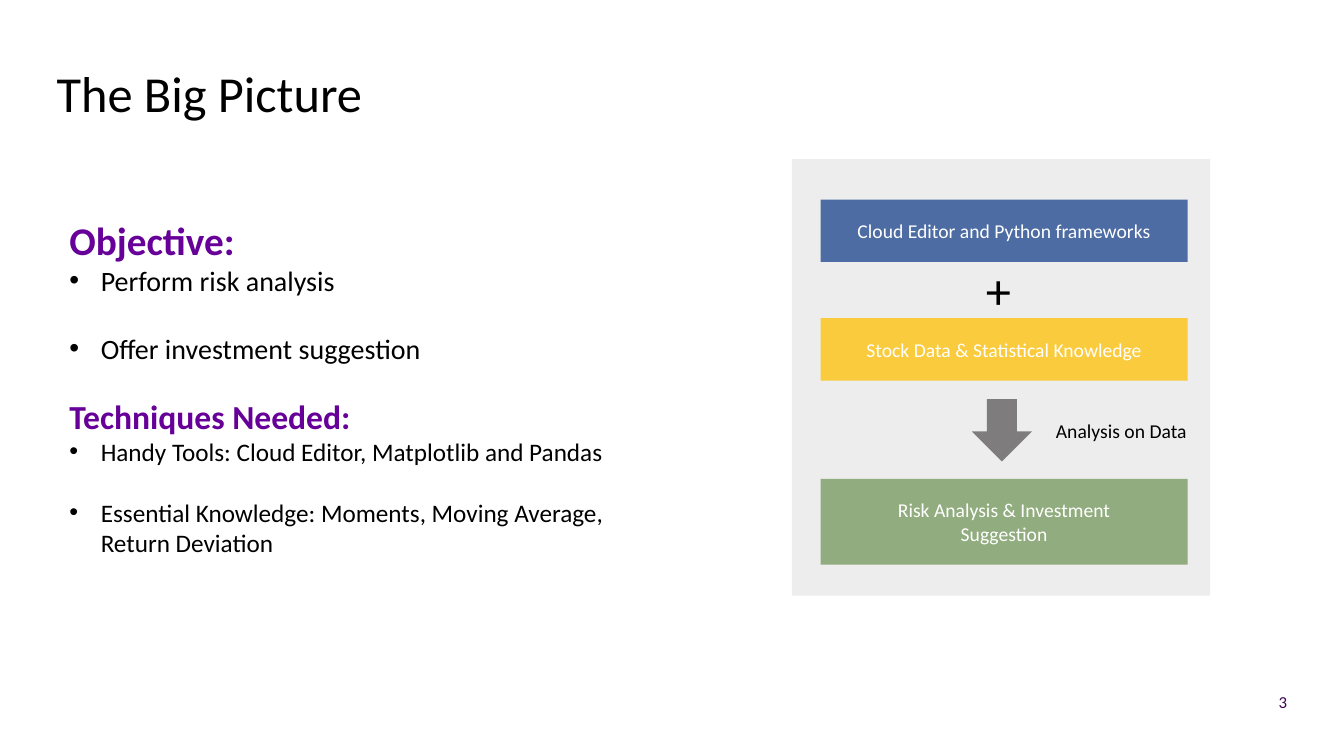
from dataclasses import dataclass

from lxml.etree import SubElement
from pptx import Presentation
from pptx.dml.color import RGBColor
from pptx.enum.shapes import MSO_SHAPE
from pptx.enum.text import MSO_ANCHOR, MSO_AUTO_SIZE, PP_ALIGN
from pptx.oxml.ns import qn
from pptx.util import Cm, Pt


@dataclass(frozen=True)
class Theme:
    font: str = "Calibri"
    black: str = "000000"
    white: str = "FFFFFF"
    purple: str = "660099"
    plum: str = "3B054F"
    panel: str = "D8D8D8"
    blue: str = "2F5496"
    gold: str = "FFC000"
    green: str = "548135"
    gray: str = "3A3838"
    title: int = 36
    head: int = 28
    subhead: int = 24
    goal: int = 20
    skill: int = 18
    label: int = 14
    number: int = 12


THEME = Theme()


def add_run(para, text, size, color, bold=False):
    run = para.add_run()
    run.text = text
    font = run.font
    font.name, font.size, font.bold = THEME.font, Pt(size), bold
    font.color.rgb = RGBColor.from_string(color)


def add_label(shapes, box, text, size, color, align=PP_ALIGN.CENTER):
    frame = shapes.add_textbox(*map(Cm, box)).text_frame
    frame.word_wrap = True
    frame.vertical_anchor = MSO_ANCHOR.MIDDLE
    para = frame.paragraphs[0]
    para.alignment = align
    add_run(para, text, size, color)


def add_block(shapes, kind, box, color, alpha, text="", inset=0.25):
    """Add a translucent shape; alpha is its opacity in percent."""
    shape = shapes.add_shape(kind, *map(Cm, box))
    shape.shadow.inherit = False
    shape.line.fill.background()
    shape.fill.solid()
    shape.fill.fore_color.rgb = RGBColor.from_string(color)
    tint = next(shape.element.iter(qn("a:srgbClr")))
    SubElement(tint, qn("a:alpha")).set("val", str(alpha * 1000))
    if text:
        frame = shape.text_frame
        frame.word_wrap = True
        frame.margin_left = frame.margin_right = Cm(inset)
        frame.vertical_anchor = MSO_ANCHOR.MIDDLE
        para = frame.paragraphs[0]
        para.alignment = PP_ALIGN.CENTER
        add_run(para, text, THEME.label, THEME.white)


def set_bullet(para):
    props = para._p.get_or_add_pPr()
    props.set("marL", str(Cm(0.79)))
    props.set("indent", str(-Cm(0.79)))
    tint = SubElement(props, qn("a:buClr"))
    SubElement(tint, qn("a:srgbClr")).set("val", THEME.black)
    SubElement(props, qn("a:buFont")).set("typeface", "Arial")
    SubElement(props, qn("a:buChar")).set("char", "•")


def add_title(slide):
    title = slide.shapes.title
    title.left, title.top, title.width, title.height = map(
        Cm, (1.17, 1.42, 31.52, 2.01))
    frame = title.text_frame
    frame.auto_size = MSO_AUTO_SIZE.NONE
    frame.vertical_anchor = MSO_ANCHOR.MIDDLE
    para = frame.paragraphs[0]
    para.alignment = PP_ALIGN.LEFT
    para.line_spacing = 0.9
    add_run(para, "The Big Picture", THEME.title, THEME.black)


def add_outline(slide):
    """Add the headed bullet lists on the left."""
    parts = (
        ("Objective:", THEME.head, THEME.goal,
         ("Perform risk analysis", "Offer investment suggestion")),
        ("Techniques Needed:", THEME.subhead, THEME.skill,
         ("Handy Tools: Cloud Editor, Matplotlib and Pandas",
          "Essential Knowledge: Moments, Moving Average, Return Deviation")),
    )
    frame = slide.shapes.add_textbox(
        *map(Cm, (1.5, 5.33, 14.81, 9.65))).text_frame
    frame.word_wrap = True
    for part, (head, size, small, items) in enumerate(parts):
        para = frame.add_paragraph() if part else frame.paragraphs[0]
        if part:
            para.space_before = Pt(22)
        add_run(para, head, size, THEME.purple, True)
        for index, item in enumerate(items):
            para = frame.add_paragraph()
            set_bullet(para)
            if index:
                para.space_before = Pt(small * 1.22)
            add_run(para, item, small, THEME.black)


def add_flow(slide):
    """Add the grouped diagram on the right."""
    shapes = slide.shapes.add_group_shape().shapes
    rect = MSO_SHAPE.RECTANGLE
    add_block(shapes, rect, (19.96, 4.01, 10.54, 11), THEME.panel, 45)
    bars = (
        (5.03, 1.57, THEME.blue, 84, "Cloud Editor and Python frameworks", 0.25),
        (8.02, 1.57, THEME.gold, 74, "Stock Data & Statistical Knowledge", 0.25),
        (12.07, 2.16, THEME.green, 60,
         "Risk Analysis & Investment Suggestion", 0.8),
    )
    for top, height, color, alpha, text, inset in bars:
        add_block(shapes, rect, (20.68, top, 9.25, height),
                  color, alpha, text, inset)
    add_label(shapes, (24.26, 6.5, 1.8, 1.57), "+", THEME.title, THEME.black)
    add_block(shapes, MSO_SHAPE.DOWN_ARROW, (24.49, 10.06, 1.52, 1.57),
              THEME.gray, 62)
    add_label(shapes, (26.01, 10.41, 4.5, 0.86), "Analysis on Data",
              THEME.label, THEME.black)


def main():
    deck = Presentation()
    deck.slide_width, deck.slide_height = Cm(33.87), Cm(19.05)
    slide = deck.slides.add_slide(deck.slide_layouts.get_by_name("Title Only"))
    add_title(slide)
    add_flow(slide)
    add_outline(slide)
    add_label(slide.shapes, (31.55, 17.17, 1.14, 1.02), "3",
              THEME.number, THEME.plum, PP_ALIGN.RIGHT)
    deck.save("out.pptx")


if __name__ == "__main__":
    main()
